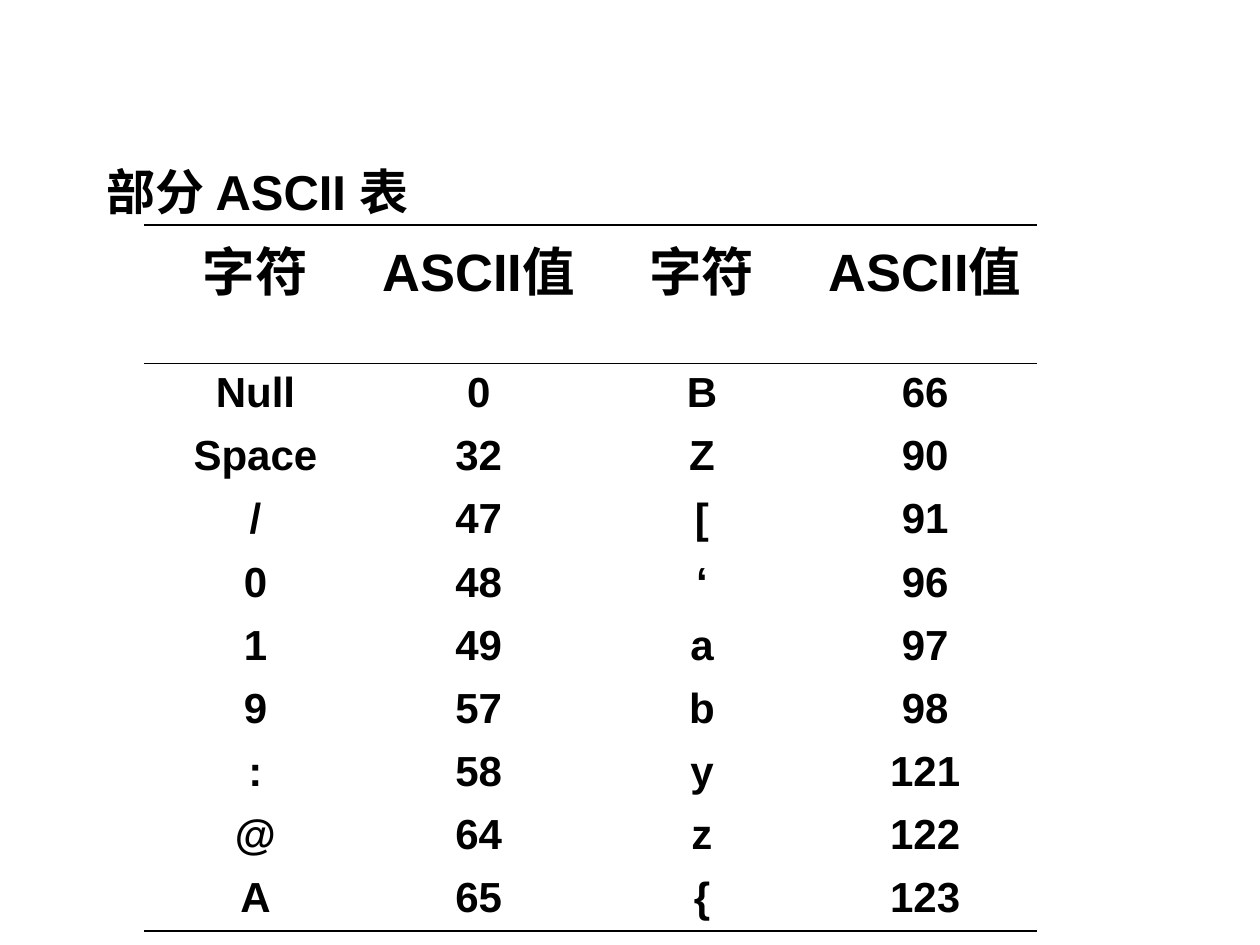
from pptx import Presentation
from pptx import util as u
from pptx.dml import color
from pptx.enum import text
from pptx.oxml import ns
from lxml import etree

PLAIN = "{2D5ABB26-0587-4C30-8999-92F81FD0307C}"
HEAD = ["字符", "ASCII值"] * 2
ROWS = [
    ["Null", "0", "B", "66"],
    ["Space", "32", "Z", "90"],
    ["/", "47", "[", "91"],
    ["0", "48", "‘", "96"],
    ["1", "49", "a", "97"],
    ["9", "57", "b", "98"],
    [":", "58", "y", "121"],
    ["@", "64", "z", "122"],
    ["A", "65", "{", "123"],
]


def paint(code):
    return color.RGBColor.from_string(code)


class Sheet:
    font = "Arial"
    ink = "000000"
    thick = 1.08
    thin = 0.45

    def __init__(self, deck):
        self.slide = deck.slides.add_slide(deck.slide_layouts[6])

    def style(self, para, words, size):
        para.text = words
        para.font.name = self.font
        para.font.size = u.Pt(size)
        para.font.bold = True
        para.font.color.rgb = paint(self.ink)

    def title(self, words, left, top, width, height):
        box = self.slide.shapes.add_textbox(u.Cm(left), u.Cm(top), u.Cm(width), u.Cm(height))
        frame = box.text_frame
        frame.word_wrap = True
        frame.auto_size = text.MSO_AUTO_SIZE.SHAPE_TO_FIT_TEXT
        self.style(frame.paragraphs[0], words, 28)

    def edge(self, cell, side, width):
        props = cell._tc.get_or_add_tcPr()
        line = etree.SubElement(props, ns.qn("a:" + side), w=str(u.Pt(width)))
        if width:
            fill = etree.SubElement(line, ns.qn("a:solidFill"))
            etree.SubElement(fill, ns.qn("a:srgbClr"), val=self.ink)
        else:
            etree.SubElement(line, ns.qn("a:noFill"))

    def cell(self, cell, words, size, gap, over, under):
        para = cell.text_frame.paragraphs[0]
        self.style(para, words, size)
        para.alignment = text.PP_ALIGN.CENTER
        para.space_before = u.Pt(gap)
        for side, width in (("lnL", 0), ("lnR", 0), ("lnT", over), ("lnB", under)):
            self.edge(cell, side, width)
        cell.fill.background()

    def table(self, head, rows, left, top, wide, tall, low):
        count = len(rows)
        shape = self.slide.shapes.add_table(
            count + 1, len(head), u.Cm(left), u.Cm(top),
            u.Cm(wide * len(head)), u.Cm(tall + low * count))
        grid = shape.table
        grid.first_row = grid.horz_banding = False
        shape.element.xpath(".//a:tableStyleId")[0].text = PLAIN
        for col in grid.columns:
            col.width = u.Cm(wide)
        rules = [self.thick, self.thin] + [0] * (count - 1) + [self.thick]
        for i, row in enumerate([head] + rows):
            grid.rows[i].height = u.Cm(low if i else tall)
            size, gap = (24, 6) if i else (30, 7.5)
            for j, words in enumerate(row):
                self.cell(grid.cell(i, j), words, size, gap, rules[i], rules[i + 1])


def main():
    deck = Presentation()
    deck.slide_width, deck.slide_height = u.Cm(25.4), u.Cm(19.05)
    sheet = Sheet(deck)
    sheet.title("部分 ASCII 表", 1.9, 3.13, 7.3, 1.45)
    sheet.table(HEAD, ROWS, 2.9, 4.53, 4.5, 2.8, 1.27)
    deck.save("out.pptx")


if __name__ == "__main__":
    main()
